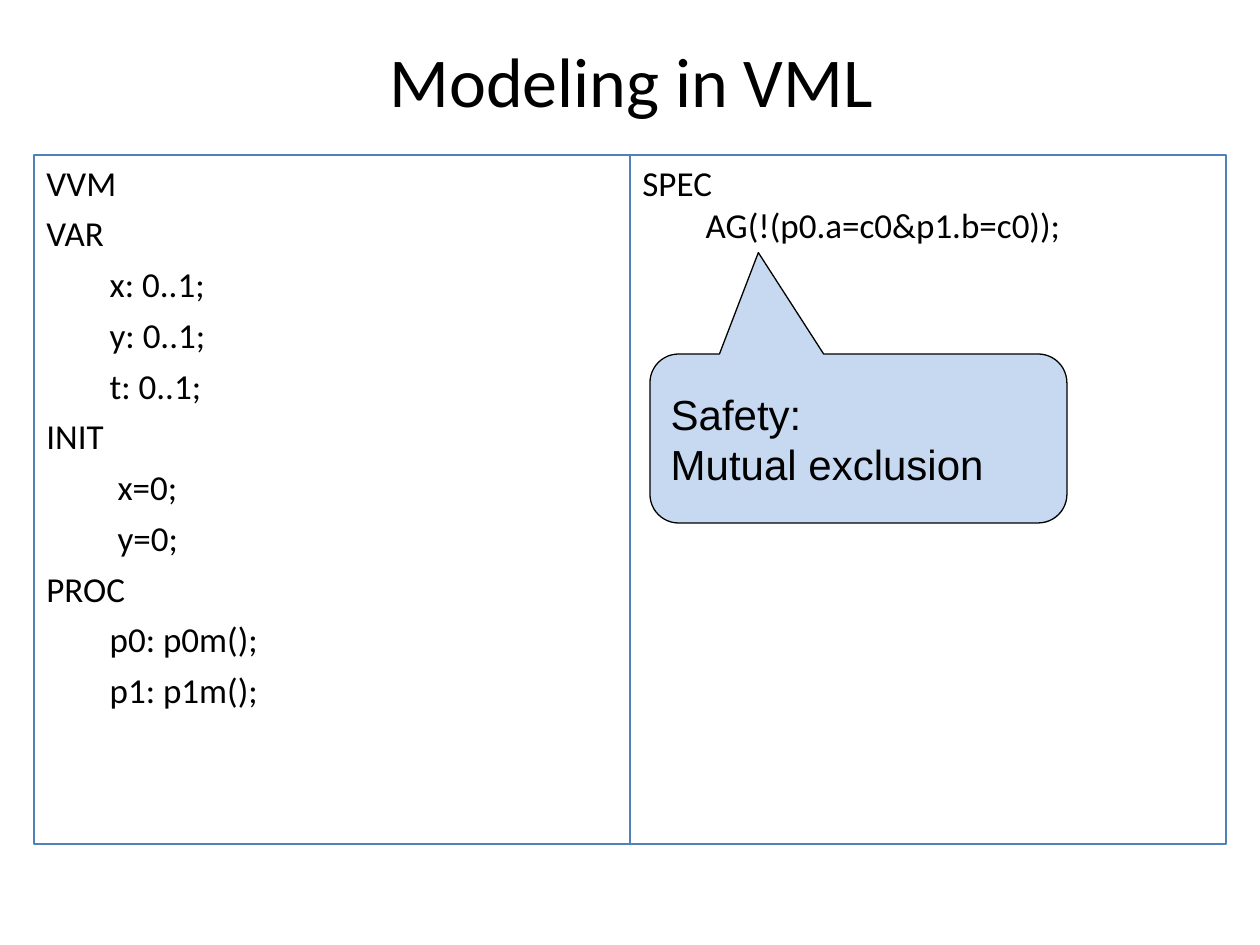
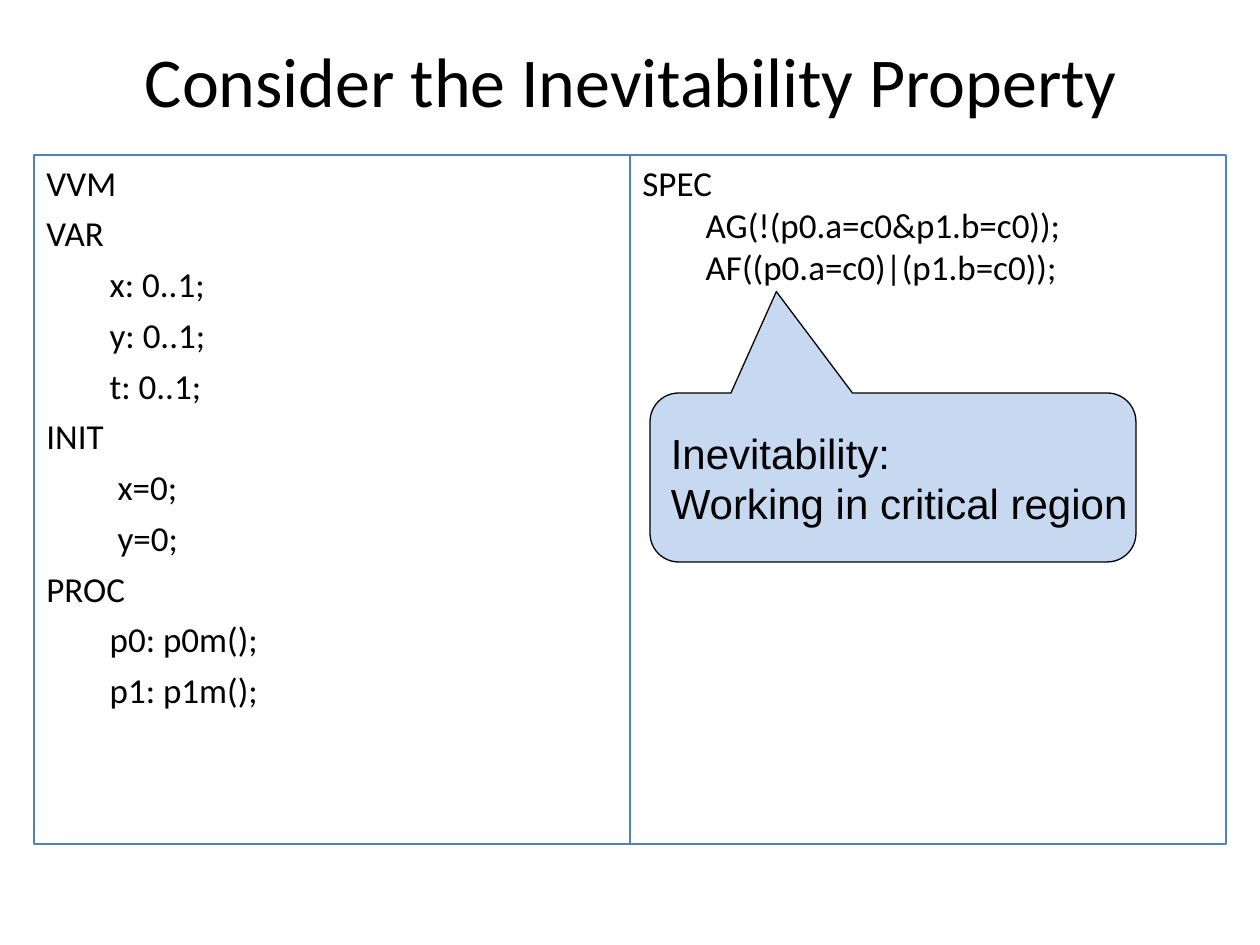
from pptx import Presentation
from pptx.dml.color import RGBColor
from pptx.enum.shapes import MSO_SHAPE
from pptx.enum.text import MSO_ANCHOR, PP_ALIGN
from pptx.util import Emu, Pt

BLACK = RGBColor(0x00, 0x00, 0x00)
PANEL_BLUE = RGBColor(0x4F, 0x81, 0xBD)
CALLOUT_BLUE = RGBColor(0xC6, 0xD9, 0xF1)

MODEL_CODE = [
    "VVM",
    "VAR",
    "        x: 0..1;",
    "        y: 0..1;",
    "        t: 0..1;",
    "INIT",
    "         x=0;",
    "         y=0;",
    "PROC",
    "        p0: p0m();",
    "        p1: p1m();",
]
SAFETY_CODE = ["SPEC", "        AG(!(p0.a=c0&p1.b=c0));"]
INEVITABILITY_CODE = ["        AF((p0.a=c0)|(p1.b=c0));"]

SLIDES = [
    {
        "title": "Modeling in VML",
        "specification": SAFETY_CODE,
        "callout": ["Safety:", "Mutual exclusion"],
        "callout_top": 354,
        "callout_width": 417,
    },
    {
        "title": "Consider the Inevitability Property",
        "specification": SAFETY_CODE + INEVITABILITY_CODE,
        "callout": ["Inevitability:", "Working in critical region"],
        "callout_top": 393,
        "callout_width": 486,
    },
]

PIXELS_PER_INCH = 126
SLIDE_WIDTH, SLIDE_HEIGHT = 1260, 945
TITLE_BOX = (64, 0, 1134, 158)
PANEL_LEFT, PANEL_TOP, PANEL_WIDTH, PANEL_HEIGHT = 34, 155, 596, 689
CALLOUT_LEFT, CALLOUT_HEIGHT = 650, 169
CALLOUT_ADJUSTMENTS = (-0.24, -1.1, 0.17)


def px(length):
    return Emu(round(length * 914400 / PIXELS_PER_INCH))


def write_lines(shape, lines, font_name, size, anchor=MSO_ANCHOR.TOP,
                alignment=PP_ALIGN.LEFT, space_before=0, wrap=True):
    frame = shape.text_frame
    frame.word_wrap = wrap
    frame.vertical_anchor = anchor
    for index, line in enumerate(lines):
        paragraph = frame.add_paragraph() if index else frame.paragraphs[0]
        paragraph.alignment = alignment
        if index and space_before:
            paragraph.space_before = Pt(space_before)
        run = paragraph.add_run()
        run.text = line
        run.font.name = font_name
        run.font.size = Pt(size)
        run.font.color.rgb = BLACK


def add_outlined_shape(slide, preset, box, line_color, fill_color=None):
    shape = slide.shapes.add_shape(preset, *map(px, box))
    shape.shadow.inherit = False
    shape.line.color.rgb = line_color
    shape.line.width = Pt(0.75)
    if fill_color is None:
        shape.fill.background()
    else:
        shape.fill.solid()
        shape.fill.fore_color.rgb = fill_color
    return shape


def add_title(slide, title):
    box = slide.shapes.add_textbox(*map(px, TITLE_BOX))
    write_lines(box, [title], "Calibri", 40, MSO_ANCHOR.MIDDLE, PP_ALIGN.CENTER)


def add_code_panel(slide, column, lines, space_before):
    box = (PANEL_LEFT + column * PANEL_WIDTH, PANEL_TOP, PANEL_WIDTH, PANEL_HEIGHT)
    panel = add_outlined_shape(slide, MSO_SHAPE.RECTANGLE, box, PANEL_BLUE)
    write_lines(panel, lines, "Calibri", 20, space_before=space_before)


def add_callout(slide, lines, top, width):
    box = (CALLOUT_LEFT, top, width, CALLOUT_HEIGHT)
    callout = add_outlined_shape(
        slide, MSO_SHAPE.ROUNDED_RECTANGULAR_CALLOUT, box, BLACK, CALLOUT_BLUE)
    for index, value in enumerate(CALLOUT_ADJUSTMENTS):
        callout.adjustments[index] = value
    write_lines(callout, lines, "Arial", 24, MSO_ANCHOR.MIDDLE, wrap=False)


def main():
    presentation = Presentation()
    presentation.slide_width = px(SLIDE_WIDTH)
    presentation.slide_height = px(SLIDE_HEIGHT)
    blank_layout = presentation.slide_layouts[6]
    for content in SLIDES:
        slide = presentation.slides.add_slide(blank_layout)
        add_title(slide, content["title"])
        add_code_panel(slide, 0, MODEL_CODE, 5)
        add_code_panel(slide, 1, content["specification"], 0)
        add_callout(slide, content["callout"], content["callout_top"],
                    content["callout_width"])
    presentation.save("out.pptx")


if __name__ == "__main__":
    main()
